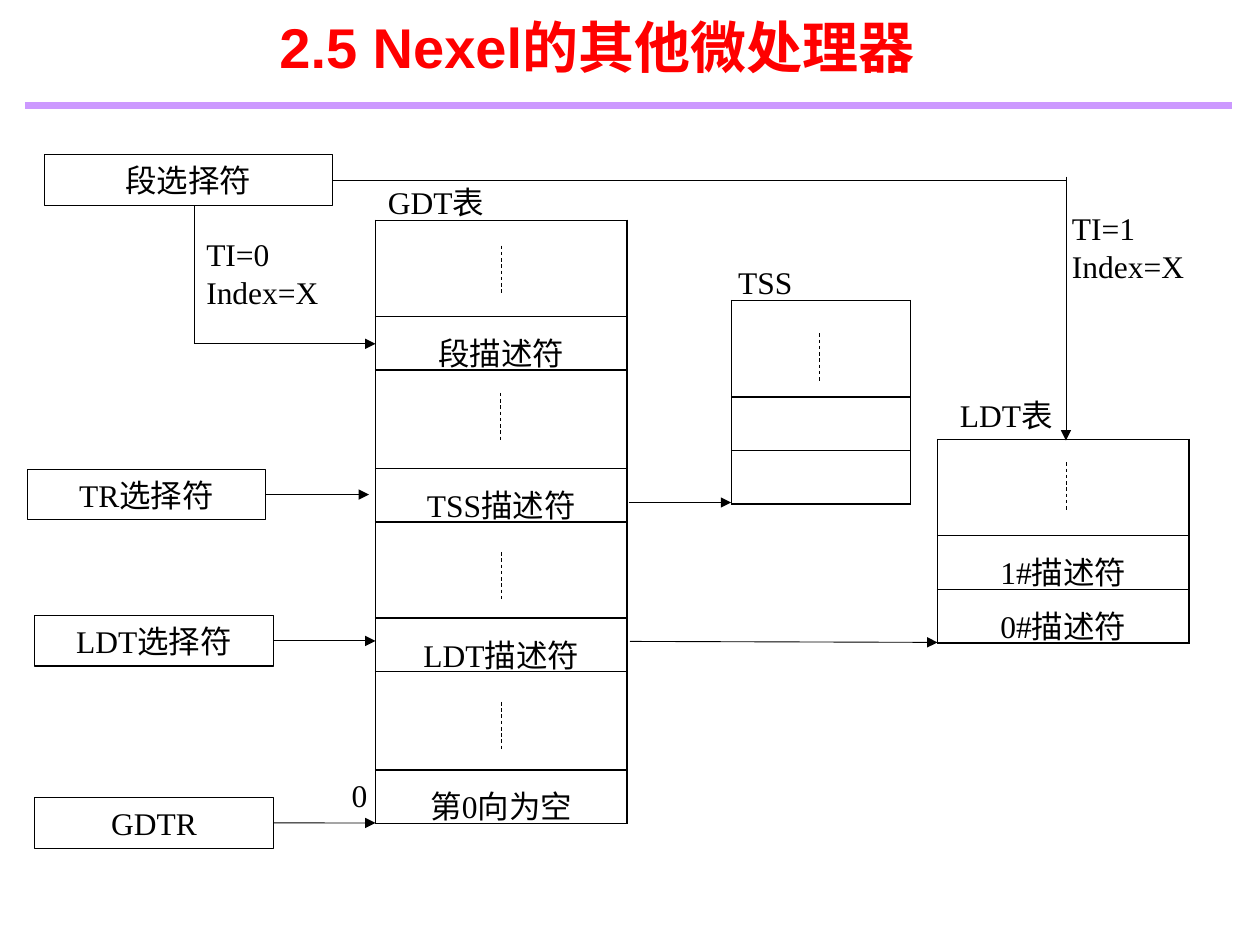
from lxml.etree import SubElement
from pptx import Presentation
from pptx.dml.color import RGBColor
from pptx.enum.dml import MSO_LINE
from pptx.enum.shapes import MSO_CONNECTOR, MSO_SHAPE
from pptx.enum.text import MSO_ANCHOR, PP_ALIGN
from pptx.oxml import parse_xml
from pptx.oxml.ns import nsdecls, qn
from pptx.util import Cm, Pt

COLORS = {"text": "000000", "title": "FF0000", "rule": "CC99FF", "cell": "FFFFFF"}


def style(p, align=PP_ALIGN.LEFT, size=18, name="Times New Roman", color="text", bold=False):
    p.alignment = align
    p.font.size = Pt(size)
    p.font.name = name
    p.font.bold = bold
    p.font.color.rgb = RGBColor.from_string(COLORS[color])


def line(x1, y1, x2, y2, arrow=False, dash=False, width=0.5, color="text"):
    cx = s.shapes.add_connector(MSO_CONNECTOR.STRAIGHT, Cm(x1), Cm(y1), Cm(x2), Cm(y2))
    cx.line.width = Pt(width)
    cx.line.color.rgb = RGBColor.from_string(COLORS[color])
    if dash:
        cx.line.dash_style = MSO_LINE.DASH
    if arrow:
        SubElement(cx.line._get_or_add_ln(), qn("a:tailEnd"), type="triangle")
    SubElement(cx._element.spPr, qn("a:effectLst"))
    return cx


prs = Presentation()
prs.slide_width, prs.slide_height = Cm(25.4), Cm(19.05)
s = prs.slides.add_slide(prs.slide_layouts[6])

line(0.5, 2.13, 24.84, 2.13, width=4.25, color="rule")
title = s.shapes.add_textbox(Cm(4.94), Cm(0.13), Cm(14.2), Cm(1.6))
tf = title.text_frame
tf.word_wrap = True
tf.vertical_anchor = MSO_ANCHOR.MIDDLE
p = tf.paragraphs[0]
p.text = "2.5 Nexel的其他微处理器"
style(p, PP_ALIGN.CENTER, 32, "Arial", "title", True)

selectors = {}
for name, x, y, w in [
    ("段选择符", 0.9, 3.12, 5.8),
    ("TR选择符", 0.55, 9.46, 4.81),
    ("LDT选择符", 0.7, 12.41, 4.81),
    ("GDTR", 0.7, 16.08, 4.81),
]:
    sp = s.shapes.add_shape(MSO_SHAPE.RECTANGLE, Cm(x), Cm(y), Cm(w), Cm(1.02))
    sp.shadow.inherit = False
    sp.fill.background()
    sp.line.width = Pt(0.75)
    sp.line.color.rgb = RGBColor.from_string(COLORS["text"])
    tf = sp.text_frame
    tf.vertical_anchor = MSO_ANCHOR.MIDDLE
    p = tf.paragraphs[0]
    p.text = name
    style(p, PP_ALIGN.CENTER)
    selectors[name] = sp

TALL, TALLER, SHORT = 1.94, 1.98, 1.08
for x, y, w, rows in [
    (7.57, 4.44, 5.07, [
        (TALL, ""), (SHORT, "段描述符"), (TALLER, ""), (SHORT, "TSS描述符"),
        (TALL, ""), (SHORT, "LDT描述符"), (TALLER, ""), (SHORT, "第0向为空"),
    ]),
    (18.9, 8.86, 5.07, [(TALL, ""), (SHORT, "1#描述符"), (SHORT, "0#描述符")]),
    (14.75, 6.06, 3.6, [(TALL, ""), (SHORT, ""), (SHORT, "")]),
]:
    height = sum(h for h, label in rows)
    table = s.shapes.add_table(len(rows), 1, Cm(x), Cm(y), Cm(w), Cm(height)).table
    table.first_row = table.horz_banding = False
    for i, (h, label) in enumerate(rows):
        table.rows[i].height = Cm(h)
        cell = table.cell(i, 0)
        cell.margin_top, cell.margin_bottom = Cm(0.25), Cm(0)
        cell.fill.solid()
        cell.fill.fore_color.rgb = RGBColor.from_string(COLORS["cell"])
        p = cell.text_frame.paragraphs[0]
        p.text = label
        style(p, PP_ALIGN.CENTER)
        tcPr = cell._tc.get_or_add_tcPr()
        for n, side in enumerate(["lnL", "lnR", "lnT", "lnB"]):
            tcPr.insert(n, parse_xml(
                f'<a:{side} {nsdecls("a")} w="12700"><a:solidFill>'
                f'<a:srgbClr val="{COLORS["text"]}"/></a:solidFill></a:{side}>'
            ))

for x, y in [(10.11, 4.95), (10.08, 7.92), (10.11, 11.13), (10.11, 14.15),
             (21.49, 9.32), (16.51, 6.72)]:
    line(x, y, x, y + 0.96, dash=True)

for x, y, w, h, lines in [
    (7.57, 3.56, 2.46, 1.02, ["GDT表"]),
    (19.1, 7.85, 2.41, 1.02, ["LDT表"]),
    (14.63, 5.18, 1.63, 1.02, ["TSS"]),
    (6.84, 15.52, 0.8, 1.02, ["0"]),
    (3.91, 4.62, 2.92, 1.8, ["TI=0", "Index=X"]),
    (21.36, 4.09, 2.92, 1.8, ["TI=1", "Index=X"]),
]:
    tf = s.shapes.add_textbox(Cm(x), Cm(y), Cm(w), Cm(h)).text_frame
    tf.word_wrap = True
    for i, label in enumerate(lines):
        p = tf.add_paragraph() if i else tf.paragraphs[0]
        p.text = label
        style(p)

for name, x1, y, x2, arrow in [
    ("段选择符", 6.7, 3.63, 21.49, False),
    ("TR选择符", 5.36, 9.97, 7.44, True),
    ("LDT选择符", 5.51, 12.92, 7.57, True),
    ("GDTR", 5.51, 16.59, 7.57, True),
]:
    line(x1, y, x2, y, arrow).begin_connect(selectors[name], 3)

line(3.91, 4.14, 3.91, 6.93)
line(3.91, 6.93, 7.57, 6.93, arrow=True)
line(21.49, 3.56, 21.49, 8.88, arrow=True)
line(12.67, 10.13, 14.74, 10.13, arrow=True)
line(12.7, 12.93, 18.9, 12.95, arrow=True)

prs.save("out.pptx")
